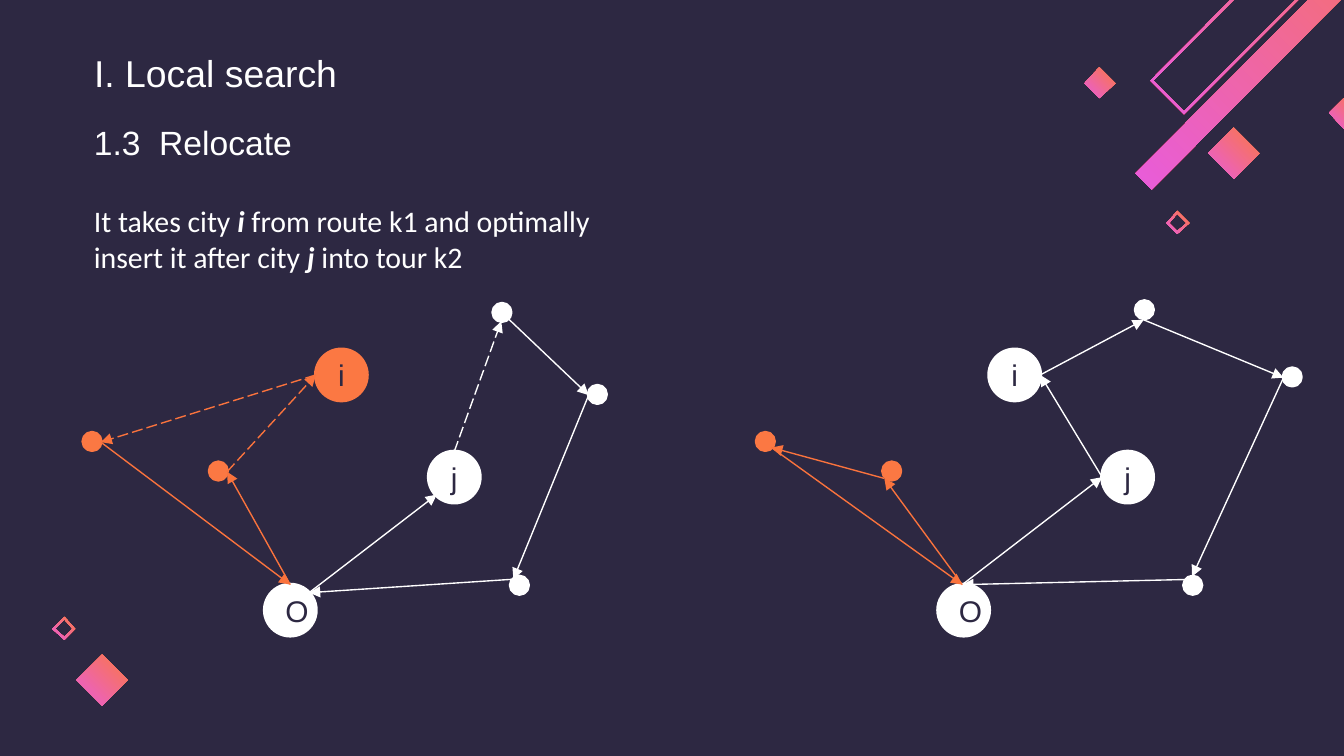
from itertools import pairwise

from lxml.etree import SubElement
from pptx import Presentation
from pptx.dml.color import RGBColor
from pptx.enum.dml import MSO_LINE
from pptx.enum.shapes import MSO_CONNECTOR, MSO_SHAPE
from pptx.enum.text import MSO_ANCHOR, MSO_AUTO_SIZE, PP_ALIGN
from pptx.oxml.ns import qn
from pptx.util import Inches, Pt

PX = 9144  # 100 px to the inch
COLORS = {"navy": "2D2842", "white": "FFFFFF", "orange": "FB7843",
          "orange_leg": "FA733D", "pink": "E85CDB"}
CITY, STOP = 38, 13

# Places within a tour diagram that both states share
J_AT, DEPOT_AT, I_AT = (257, 112), (135, 211), (173, 36)
ORANGE_STOPS = [(0, 98), (94, 120)]
SOUTH_STOP = (318, 205)

# Each path: colour, dashed, waypoints
BEFORE = {
    "i_color": "orange",
    "stops": [(305, 2), (376, 63)],
    "paths": [
        ("white", False, [(168, 217), (263, 144)]),
        ("white", True, [(276, 112), (311, 15)]),
        ("white", False, [(316, 13), (376, 70), (320, 207), (168, 217)]),
        ("orange_leg", False, [(154, 211), (107, 127)]),
        ("orange_leg", True, [(107, 127), (173, 55), (13, 105)]),
        ("orange_leg", False, [(13, 105), (154, 211)]),
    ],
}
AFTER = {
    "i_color": "white",
    "stops": [(282, 0), (392, 50)],
    "paths": [
        ("white", False, [(153, 211), (257, 131), (211, 55), (288, 14),
                          (392, 57), (324, 205)]),
        ("white", False, [(328, 207), (153, 211)]),
        ("orange_leg", False, [(153, 211), (95, 132), (11, 109), (153, 211)]),
    ],
}


def rgb(name):
    return RGBColor.from_string(COLORS[name])


def px(*lengths):
    return [length * PX for length in lengths]


def format_font(font, size, color="white", face="Arial"):
    font.size, font.name = Pt(size), face
    font.color.rgb = rgb(color)


def prepare_frame(frame):
    frame.word_wrap = True
    frame.auto_size = MSO_AUTO_SIZE.NONE
    frame.vertical_anchor = MSO_ANCHOR.TOP
    frame.margin_left, frame.margin_top, frame.margin_right, frame.margin_bottom = px(10, 10, 10, 10)


def add_title(slide, left, top, width, height):
    title = slide.shapes.title
    title.left, title.top, title.width, title.height = px(left, top, width, height)
    prepare_frame(title.text_frame)
    title.text_frame.text = "I. Local search"
    heading = title.text_frame.paragraphs[0]
    heading.alignment = PP_ALIGN.LEFT
    format_font(heading.runs[0].font, 20)


def add_description(slide, left, top, width, height):
    frame = slide.shapes.add_textbox(*px(left, top, width, height)).text_frame
    prepare_frame(frame)
    frame.text = "1.3  Relocate"
    format_font(frame.paragraphs[0].runs[0].font, 18)
    explanation = frame.add_paragraph()
    explanation.space_before = Pt(21.5)
    for words, is_city in [("It takes city ", False), ("i ", True),
                           ("from route k1 and optimally insert it after city ", False),
                           ("j", True), (" into tour k2", False)]:
        run = explanation.add_run()
        run.text = words
        format_font(run.font, 16, face="Calibri")
        run.font.bold = run.font.italic = is_city


def add_gradient_outline(slide, left, top, contours):
    """Fill closed contours, given relative to left and top, with the gradient."""
    placed = [[(left + x, top + y) for x, y in contour] for contour in contours]
    builder = slide.shapes.build_freeform(*placed[0][0], scale=PX)
    builder.add_line_segments(placed[0][1:])
    for contour in placed[1:]:
        builder.move_to(*contour[0])
        builder.add_line_segments(contour[1:])
    outline = builder.convert_to_shape()
    outline.shadow.inherit = False
    outline.line.fill.background()
    outline.fill.gradient()
    outline.fill.gradient_angle = 225
    for stop, position, color in zip(outline.fill.gradient_stops, (0, 1), ("orange", "pink")):
        stop.position = position
        stop.color.rgb = rgb(color)


def diamond(size, inset=0):
    near, middle, far = inset, size / 2, size - inset
    return [(near, middle), (middle, near), (far, middle), (middle, far)]


def add_diamond(slide, left, top, size, hollow=False):
    contours = [diamond(size)]
    if hollow:
        contours.append(diamond(size, inset=2)[::-1])
    add_gradient_outline(slide, left, top, contours)


def add_corner_decor(slide, left, top):
    add_gradient_outline(slide, left + 49, top, [
        [(2, 60), (25, 83), (218, -110), (195, -134)],
        [(0, 60), (195, -136), (220, -110), (25, 85)]])
    add_gradient_outline(slide, left + 38, top, [
        [(0, 129), (234, -106), (246, -94), (12, 141)]])
    for x, y, size in [(0, 50, 23), (92, 95, 38), (182, 73, 23)]:
        add_diamond(slide, left + x, top + y, size)
    add_diamond(slide, left + 61, top + 157, 17, hollow=True)


def add_foot_decor(slide, left, top):
    add_diamond(slide, left + 18, top + 28, 38)
    add_diamond(slide, left, top, 17, hollow=True)


def add_node(slide, left, top, size, color, label=""):
    node = slide.shapes.add_shape(MSO_SHAPE.OVAL, *px(left, top, size, size))
    node.shadow.inherit = False
    node.fill.solid()
    node.fill.fore_color.rgb = node.line.color.rgb = rgb(color)
    node.line.width = Pt(2)
    if label:
        node.text_frame.text = label
        name = node.text_frame.paragraphs[0]
        name.alignment = PP_ALIGN.CENTER
        format_font(name.runs[0].font, 16, "navy")


def add_leg(slide, start, end, color, dashed):
    leg = slide.shapes.add_connector(MSO_CONNECTOR.STRAIGHT, *px(*start, *end))
    leg.line.color.rgb = rgb(color)
    leg.line.width = Pt(0.75)
    if dashed:
        leg.line.dash_style = MSO_LINE.LONG_DASH
    SubElement(leg.line._get_or_add_ln(), qn("a:tailEnd"), type="triangle")
    SubElement(leg._element.spPr, qn("a:effectLst"))


def add_tours(slide, left, top, state):
    cities = [(J_AT, "white", "j"), (DEPOT_AT, "white", "O"), (I_AT, state["i_color"], "i")]
    for (x, y), color, label in cities:
        add_node(slide, left + x, top + y, CITY, color, label)
    for color, stops in [("white", state["stops"] + [SOUTH_STOP]), ("orange", ORANGE_STOPS)]:
        for x, y in stops:
            add_node(slide, left + x, top + y, STOP, color)
    for color, dashed, waypoints in state["paths"]:
        placed = [(left + x, top + y) for x, y in waypoints]
        for start, end in pairwise(placed):
            add_leg(slide, start, end, color, dashed)


def main():
    deck = Presentation()
    deck.slide_width, deck.slide_height = Inches(10), Inches(5.625)
    slide = deck.slides.add_slide(deck.slide_layouts[5])
    slide.background.fill.solid()
    slide.background.fill.fore_color.rgb = rgb("navy")
    add_corner_decor(slide, 807, 0)
    add_foot_decor(slide, 39, 459)
    add_title(slide, 60, 27, 421, 63)
    add_description(slide, 60, 81, 421, 63)
    for left, state in [(62, BEFORE), (563, AFTER)]:
        add_tours(slide, left, 224, state)
    deck.save("out.pptx")


if __name__ == "__main__":
    main()
